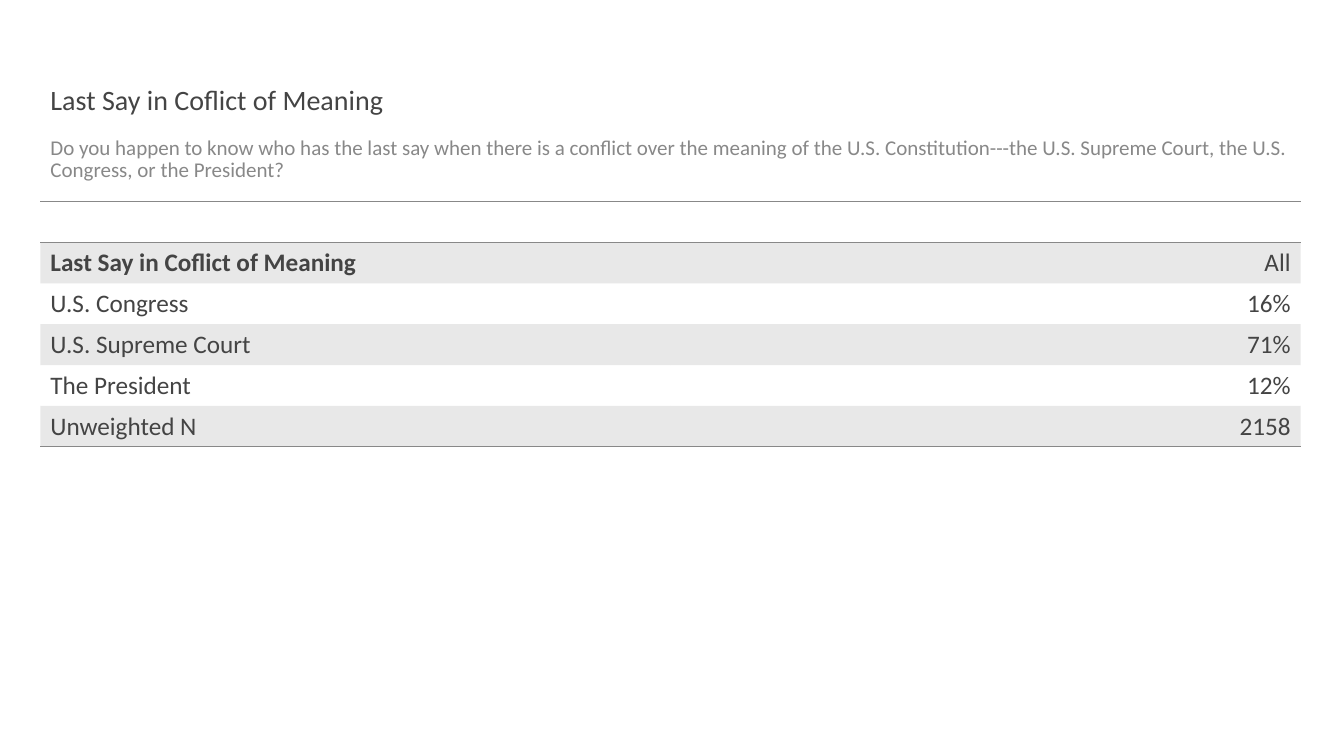
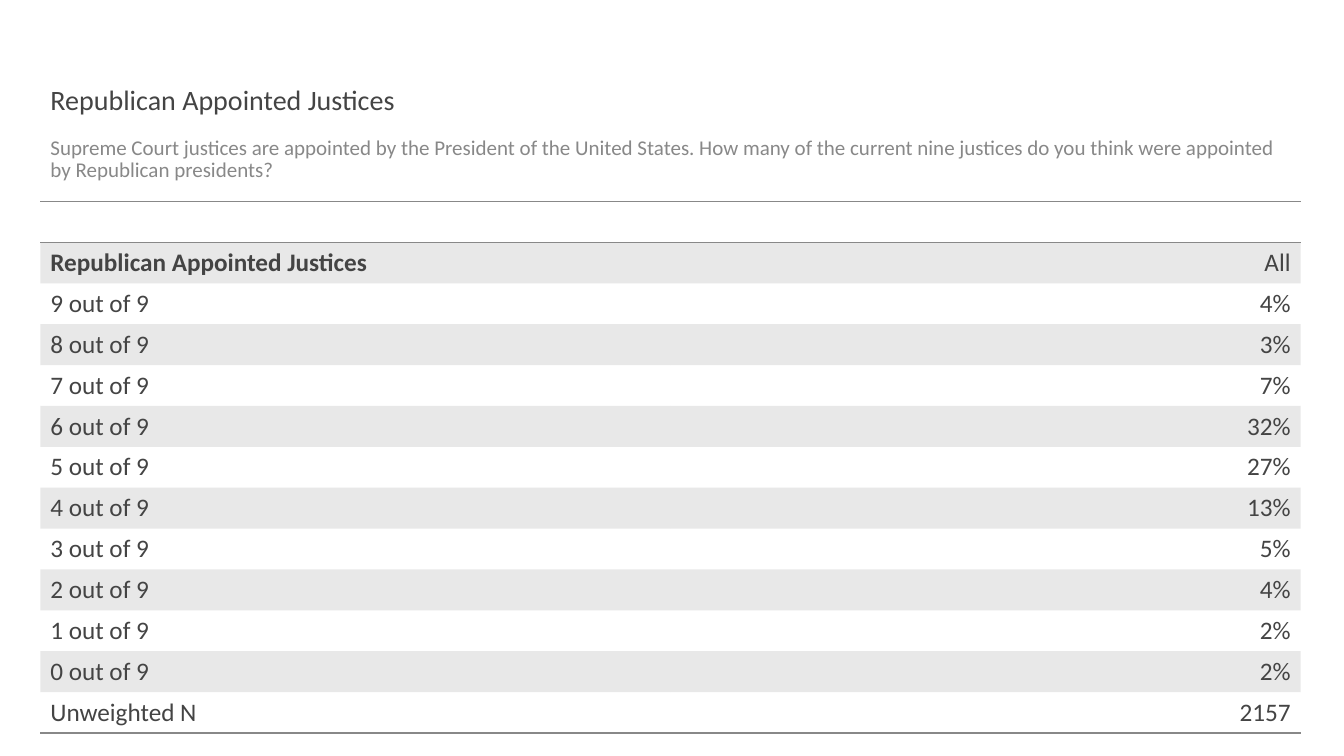
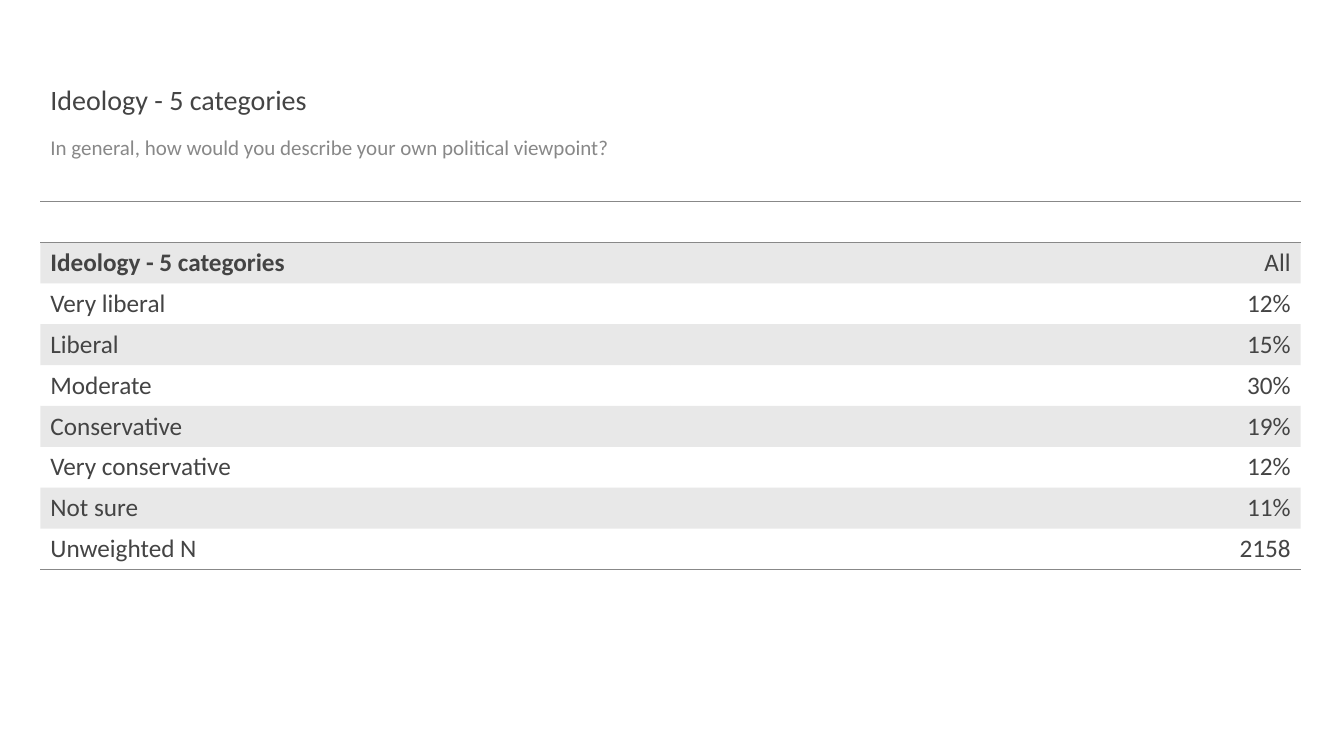
from lxml.etree import SubElement
from pptx import Presentation
from pptx.dml.color import RGBColor
from pptx.enum.text import MSO_ANCHOR, MSO_AUTO_SIZE, PP_ALIGN
from pptx.oxml.ns import qn
from pptx.util import Inches, Pt

INK = "444444"
GREY = "888888"
FONT = "Calibri"
LEFT, WIDTH = Inches(0.4), Inches(12.5)
ROW_HEIGHT = Pt(29.2)
PLAIN_TABLE_STYLE = "{2D5ABB26-0587-4C30-8999-92F81FD0307C}"

QUESTIONS = [
    ("Last Say in Coflict of Meaning",
     "Do you happen to know who has the last say when there is a conflict over the meaning of "
     "the U.S. Constitution---the U.S. Supreme Court, the U.S. Congress, or the President?",
     [("U.S. Congress", "16%"), ("U.S. Supreme Court", "71%"), ("The President", "12%"),
      ("Unweighted N", "2158")]),
    ("Republican Appointed Justices",
     "Supreme Court justices are appointed by the President of the United States. How many of "
     "the current nine justices do you think were appointed by Republican presidents?",
     [("9 out of 9", "4%"), ("8 out of 9", "3%"), ("7 out of 9", "7%"), ("6 out of 9", "32%"),
      ("5 out of 9", "27%"), ("4 out of 9", "13%"), ("3 out of 9", "5%"), ("2 out of 9", "4%"),
      ("1 out of 9", "2%"), ("0 out of 9", "2%"), ("Unweighted N", "2157")]),
    ("Ideology - 5 categories",
     "In general, how would you describe your own political viewpoint?",
     [("Very liberal", "12%"), ("Liberal", "15%"), ("Moderate", "30%"), ("Conservative", "19%"),
      ("Very conservative", "12%"), ("Not sure", "11%"), ("Unweighted N", "2158")]),
]


def format_text(paragraph, size, color, bold=False):
    for run in paragraph.runs:
        run.font.name = FONT
        run.font.size = Pt(size)
        run.font.bold = bold
        run.font.color.rgb = RGBColor.from_string(color)


def add_border(cell, side):
    """Draw a 1 pt grey rule on one side of a cell ("T" or "B"); call before filling."""
    line = SubElement(cell._tc.get_or_add_tcPr(), qn(f"a:ln{side}"), w=str(Pt(1)))
    SubElement(SubElement(line, qn("a:solidFill")), qn("a:srgbClr"), val=GREY)


prs = Presentation()
prs.slide_width, prs.slide_height = Inches(13.33), Inches(7.5)

for heading, question, answers in QUESTIONS:
    slide = prs.slides.add_slide(prs.slide_layouts[1])
    title, body = slide.shapes.title, slide.placeholders[1]

    for holder, wording, top, height, anchor, size, color in [
        (title, heading, 0.4, 0.81, MSO_ANCHOR.BOTTOM, 20, INK),
        (body, question, 1.31, 0.51, MSO_ANCHOR.TOP, 15, GREY),
    ]:
        holder.left, holder.width = LEFT, WIDTH
        holder.top, holder.height = Inches(top), Inches(height)
        frame = holder.text_frame
        frame.text = wording
        frame.word_wrap = True
        frame.auto_size = MSO_AUTO_SIZE.NONE
        frame.vertical_anchor = anchor
        paragraph = frame.paragraphs[0]
        paragraph.alignment = PP_ALIGN.LEFT
        paragraph.line_spacing = 0.9
        paragraph.space_before = Pt(0)
        properties = paragraph._p.get_or_add_pPr()
        properties.set("marL", "0")
        properties.set("indent", "0")
        SubElement(properties, qn("a:buNone"))
        format_text(paragraph, size, color)

    # An empty ruled row separates the question from the answers.
    rows = [("", ""), (heading, "All"), *answers]
    last = len(rows) - 1
    table = slide.shapes.add_table(
        len(rows), 2, LEFT, Inches(2), WIDTH, ROW_HEIGHT * len(rows)).table
    table.first_row = table.horz_banding = False
    table._tbl.tblPr.find(qn("a:tableStyleId")).text = PLAIN_TABLE_STYLE

    for row, labels in enumerate(rows):
        table.rows[row].height = ROW_HEIGHT
        for column, label in enumerate(labels):
            cell = table.cell(row, column)
            if row == 0:
                add_border(cell, "T")
            if row in (0, last):
                add_border(cell, "B")
            if row % 2:
                cell.fill.solid()
                cell.fill.fore_color.rgb = RGBColor.from_string(INK)
                tint = cell._tc.tcPr.find(f"{qn('a:solidFill')}/{qn('a:srgbClr')}")
                SubElement(tint, qn("a:alpha"), val="12000")
            else:
                cell.fill.background()
            if label:
                cell.text_frame.text = label
                cell.vertical_anchor = MSO_ANCHOR.BOTTOM if row == 1 else MSO_ANCHOR.MIDDLE
                paragraph = cell.text_frame.paragraphs[0]
                paragraph.alignment = PP_ALIGN.RIGHT if column else PP_ALIGN.LEFT
                format_text(paragraph, 18, INK, bold=(row, column) == (1, 0))

prs.save("out.pptx")
